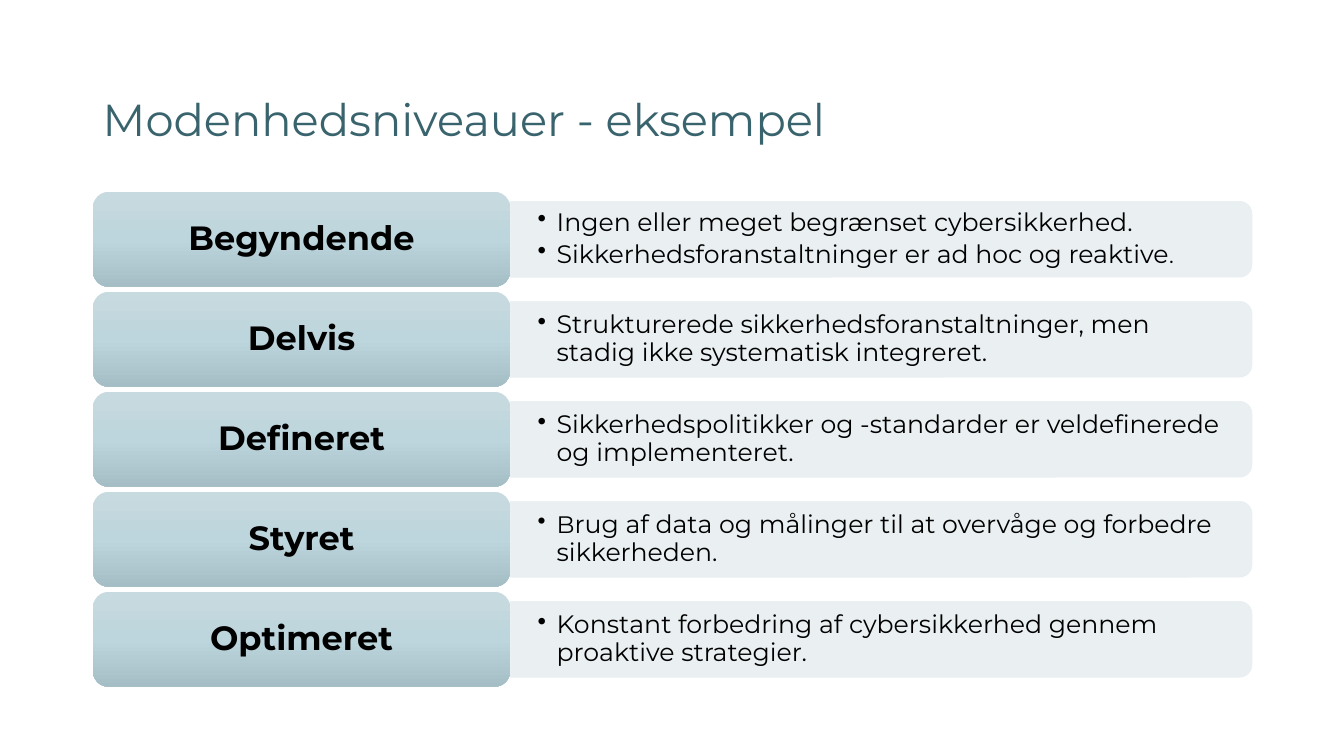
from dataclasses import dataclass
from lxml import etree
from pptx import Presentation
from pptx import util as u
from pptx.dml.color import RGBColor
from pptx.enum import shapes, text
from pptx.oxml.ns import qn

TITLE = "Modenhedsniveauer - eksempel"
LEVELS = [
    ("Begyndende", [
        [("Ingen eller meget begrænset cybersikkerhed.", 18)],
        [("Sikkerhedsforanstaltninger er ad hoc og reaktive", 18), (".", 16)],
    ]),
    ("Delvis", [
        [("Strukturerede sikkerhedsforanstaltninger, men stadig ikke systematisk integreret.", 18)],
    ]),
    ("Defineret", [
        [("Sikkerhedspolitikker og -standarder er veldefinerede og implementeret.", 18)],
    ]),
    ("Styret", [
        [("B", 17), ("rug af data og målinger til at overvåge og forbedre sikkerheden.", 18)],
    ]),
    ("Optimeret", [
        [("Konstant forbedring af cybersikkerhed gennem proaktive strategier.", 18)],
    ]),
]


@dataclass(frozen=True)
class Theme:
    font: str = "Montserrat"
    title: str = "3A646D"
    ink: str = "000000"
    bar: str = "E8EFF1"
    bar_alpha: int = 90
    label: tuple = ((0, "C7DAE0"), (50, "BDD5DC"), (100, "A5BEC6"))
    title_size: int = 32
    label_size: int = 24


T = Theme()
LEFT, FIRST_CENTER, PITCH = 2.34, 6.03, 2.52
LABEL_W, LABEL_H = 10.52, 2.39
BAR_W, BAR_H = 18.69, 1.91
TEXT_W, TEXT_H = 18.59, 1.73


def add_run(p, words, size, color, bold=False):
    r = p.add_run()
    r.text = words
    r.font.name = T.font
    r.font.size = u.Pt(size)
    r.font.bold = bold
    r.font.color.rgb = RGBColor.from_string(color)


def frame(sp, x_inset, y_inset):
    tf = sp.text_frame
    tf.word_wrap = True
    tf.vertical_anchor = text.MSO_ANCHOR.MIDDLE
    tf.margin_left = tf.margin_right = u.Cm(x_inset)
    tf.margin_top = tf.margin_bottom = u.Cm(y_inset)
    tf.paragraphs[0].line_spacing = 0.9
    return tf


def add_bar(s, x, center):
    sp = s.shapes.add_shape(
        shapes.MSO_SHAPE.ROUND_2_SAME_RECTANGLE,
        u.Cm(x + (BAR_W - BAR_H) / 2), u.Cm(center - BAR_W / 2), u.Cm(BAR_H), u.Cm(BAR_W))
    sp.rotation = 90
    sp.shadow.inherit = False
    sp.line.width = u.Pt(0.5)
    for fill in (sp.fill, sp.line.fill):
        fill.solid()
        fill.fore_color.rgb = RGBColor.from_string(T.bar)
    for clr in sp._element.spPr.iter(qn("a:srgbClr")):
        etree.SubElement(clr, qn("a:alpha"), val=str(T.bar_alpha * 1000))


def add_bullets(s, x, center, bullets):
    sp = s.shapes.add_textbox(u.Cm(x), u.Cm(center - TEXT_H / 2), u.Cm(TEXT_W), u.Cm(TEXT_H))
    tf = frame(sp, 0.69, 0.36)
    for i, runs in enumerate(bullets):
        p = tf.add_paragraph() if i else tf.paragraphs[0]
        p.level = 1
        p.line_spacing = 0.9
        p.space_after = u.Pt(3)
        pPr = p._p.get_or_add_pPr()
        pPr.set("marL", str(u.Cm(0.48)))
        pPr.set("indent", str(-u.Cm(0.48)))
        etree.SubElement(pPr, qn("a:buChar"), char="•")
        for words, size in runs:
            add_run(p, words, size, T.ink)


def add_label(s, x, center, name):
    sp = s.shapes.add_shape(
        shapes.MSO_SHAPE.ROUNDED_RECTANGLE,
        u.Cm(x), u.Cm(center - LABEL_H / 2), u.Cm(LABEL_W), u.Cm(LABEL_H))
    sp.shadow.inherit = False
    sp.line.fill.background()
    sp.fill.gradient()
    sp.fill.gradient_angle = 270
    stops = sp._element.spPr.find(".//" + qn("a:gsLst"))
    for gs in list(stops):
        stops.remove(gs)
    for pos, color in T.label:
        gs = etree.SubElement(stops, qn("a:gs"), pos=str(pos * 1000))
        etree.SubElement(gs, qn("a:srgbClr"), val=color)
    p = frame(sp, 0.25, 0.13).paragraphs[0]
    p.alignment = text.PP_ALIGN.CENTER
    add_run(p, name, T.label_size, T.ink, True)


def main():
    prs = Presentation()
    prs.slide_width, prs.slide_height = u.Cm(33.87), u.Cm(19.05)
    s = prs.slides.add_slide(prs.slide_layouts[6])
    title = s.shapes.add_textbox(u.Cm(LEFT), u.Cm(1.78), u.Cm(29.21), u.Cm(2.57))
    add_run(frame(title, 0.25, 0.13).paragraphs[0], TITLE, T.title_size, T.title)
    for i, (name, bullets) in enumerate(LEVELS):
        center = FIRST_CENTER + i * PITCH
        add_bar(s, LEFT + LABEL_W, center)
        add_bullets(s, LEFT + LABEL_W, center, bullets)
        add_label(s, LEFT, center, name)
    prs.save("out.pptx")


if __name__ == "__main__":
    main()
